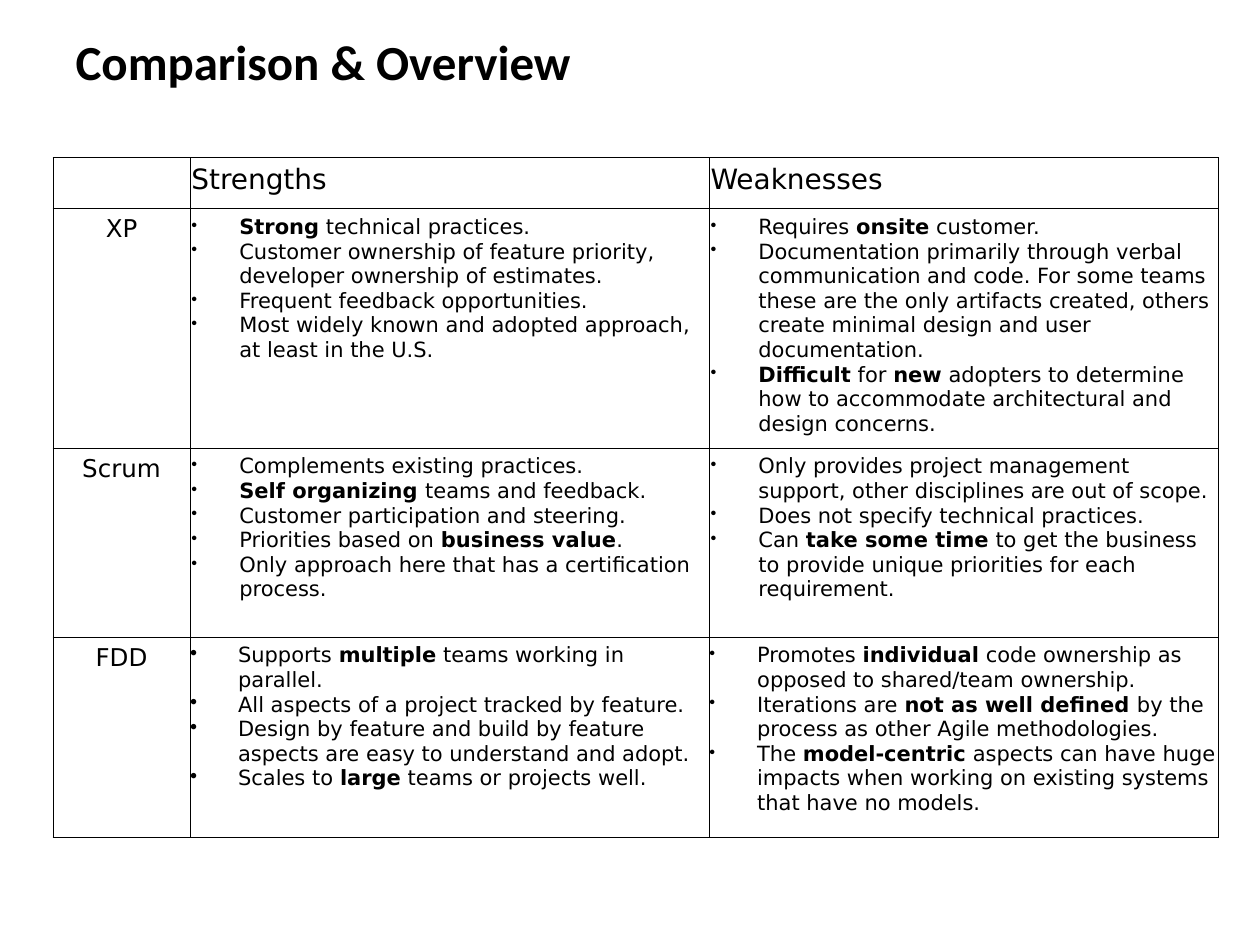
from dataclasses import dataclass

from lxml import etree
from pptx import Presentation
from pptx import util as u
from pptx.dml.color import RGBColor
from pptx.enum import text
from pptx.oxml.ns import qn

COLORS = {"text": "000000", "border": "000000"}
TITLE_FONT, TABLE_FONT = "Calibri", "DejaVu Sans"
COLUMN_WIDTHS = (1.09, 4.12, 4.04)
ROW_HEIGHTS = (0.4, 1.9, 1.5, 1.59)
BULLET_INDENT = u.Inches(0.38)


@dataclass
class Method:
    """One row of the comparison; words between ** are bold."""
    name: str
    strengths: list[str]
    weaknesses: list[str]
    strength_bullet: int = 83
    side_margin: float = 0.01


METHODS = [
    Method(
        "XP",
        ["**Strong** technical practices.",
         "Customer ownership of feature priority, developer ownership of estimates.",
         "Frequent feedback opportunities.",
         "Most widely known and adopted approach, at least in the U.S."],
        ["Requires **onsite** customer.",
         "Documentation primarily through verbal communication and code. For some teams "
         "these are the only artifacts created, others create minimal design and user "
         "documentation.",
         "**Difficult** for **new** adopters to determine how to accommodate "
         "architectural and design concerns."]),
    Method(
        "Scrum",
        ["Complements existing practices.",
         "**Self organizing **teams and feedback.",
         "Customer participation and steering.",
         "Priorities based on **business value**.",
         "Only approach here that has a certification process."],
        ["Only provides project management support, other disciplines are out of scope.",
         "Does not specify technical practices.",
         "Can **take some time** to get the business to provide unique priorities for "
         "each requirement."]),
    Method(
        "FDD",
        ["Supports **multiple** teams working in parallel.",
         "All aspects of a project tracked by feature.",
         "Design by feature and build by feature aspects are easy to understand and adopt.",
         "Scales to **large** teams or projects well."],
        ["Promotes **individual** code ownership as opposed to shared/team ownership.",
         "Iterations are **not as well defined **by the process as other Agile "
         "methodologies.",
         "The **model-centric** aspects can have huge impacts when working on existing "
         "systems that have no models."],
        strength_bullet=100, side_margin=0),
]


def add_bullet(paragraph, percent: int) -> None:
    properties = paragraph._p.get_or_add_pPr()
    properties.set("marL", str(BULLET_INDENT))
    properties.set("indent", str(-BULLET_INDENT))
    color = etree.SubElement(properties, qn("a:buClr"))
    etree.SubElement(color, qn("a:srgbClr"), val=COLORS["text"])
    etree.SubElement(properties, qn("a:buSzPct"), val=str(percent * 1000))
    etree.SubElement(properties, qn("a:buChar"), char="•")


def write(paragraph, content: str, *, size: float, font: str = TABLE_FONT,
          bold: bool = False, align=text.PP_ALIGN.LEFT, bullet: int = 0) -> None:
    """Fill a paragraph, switching bold at each ** mark."""
    paragraph.alignment = align
    if bullet:
        add_bullet(paragraph, bullet)
    for index, part in enumerate(content.split("**")):
        if part:
            run = paragraph.add_run()
            run.text = part
            run.font.size = u.Pt(size)
            run.font.name = font
            run.font.bold = bold or index % 2 == 1
            run.font.color.rgb = RGBColor.from_string(COLORS["text"])


def format_cell(cell, side_margin: float = 0.01) -> None:
    cell.margin_left = cell.margin_right = u.Inches(side_margin)
    cell.margin_top = cell.margin_bottom = u.Inches(0.05)
    properties = cell._tc.get_or_add_tcPr()
    for side in ("lnL", "lnR", "lnT", "lnB"):
        line = etree.SubElement(properties, qn(f"a:{side}"), w=str(u.Pt(0.45)))
        fill = etree.SubElement(line, qn("a:solidFill"))
        etree.SubElement(fill, qn("a:srgbClr"), val=COLORS["border"])
    cell.fill.background()


def write_list(cell, items: list[str], bullet: int) -> None:
    frame = cell.text_frame
    for index, item in enumerate(items):
        paragraph = frame.add_paragraph() if index else frame.paragraphs[0]
        write(paragraph, item, size=12, bullet=bullet)


def add_title(slide) -> None:
    title = slide.shapes.title
    title.left, title.top = u.Inches(0.5), u.Inches(0.3)
    title.width, title.height = u.Inches(9), u.Inches(0.77)
    frame = title.text_frame
    frame.auto_size = text.MSO_AUTO_SIZE.NONE
    frame.vertical_anchor = text.MSO_ANCHOR.MIDDLE
    paragraph = frame.paragraphs[0]
    write(paragraph, "Comparison & Overview", size=28, font=TITLE_FONT, bold=True)
    # The title ends in a line break, which lifts it above the middle
    paragraph.add_line_break()
    etree.SubElement(paragraph._p[-1], qn("a:rPr"), sz="2800")
    etree.SubElement(paragraph._p, qn("a:endParaRPr"), sz="2400")


def add_comparison(slide) -> None:
    table = slide.shapes.add_table(
        len(ROW_HEIGHTS), len(COLUMN_WIDTHS), u.Inches(0.42), u.Inches(1.25),
        u.Inches(sum(COLUMN_WIDTHS)), u.Inches(sum(ROW_HEIGHTS))).table
    table.first_row = table.horz_banding = False
    for column, width in zip(table.columns, COLUMN_WIDTHS):
        column.width = u.Inches(width)
    for row, height in zip(table.rows, ROW_HEIGHTS):
        row.height = u.Inches(height)

    # Header row
    for cell, heading in zip(table.rows[0].cells, ("", "Strengths", "Weaknesses")):
        format_cell(cell)
        write(cell.text_frame.paragraphs[0], heading, size=16)

    # One row per method
    for row_index, method in enumerate(METHODS, start=1):
        cells = [table.cell(row_index, column) for column in range(3)]
        for cell in cells:
            format_cell(cell, method.side_margin)
        write(cells[0].text_frame.paragraphs[0], method.name, size=14,
              align=text.PP_ALIGN.CENTER)
        write_list(cells[1], method.strengths, method.strength_bullet)
        write_list(cells[2], method.weaknesses, 83)


def main() -> None:
    presentation = Presentation()
    presentation.slide_width, presentation.slide_height = u.Inches(10), u.Inches(7.5)
    slide = presentation.slides.add_slide(presentation.slide_layouts[5])
    add_title(slide)
    add_comparison(slide)
    presentation.save("out.pptx")


if __name__ == "__main__":
    main()
